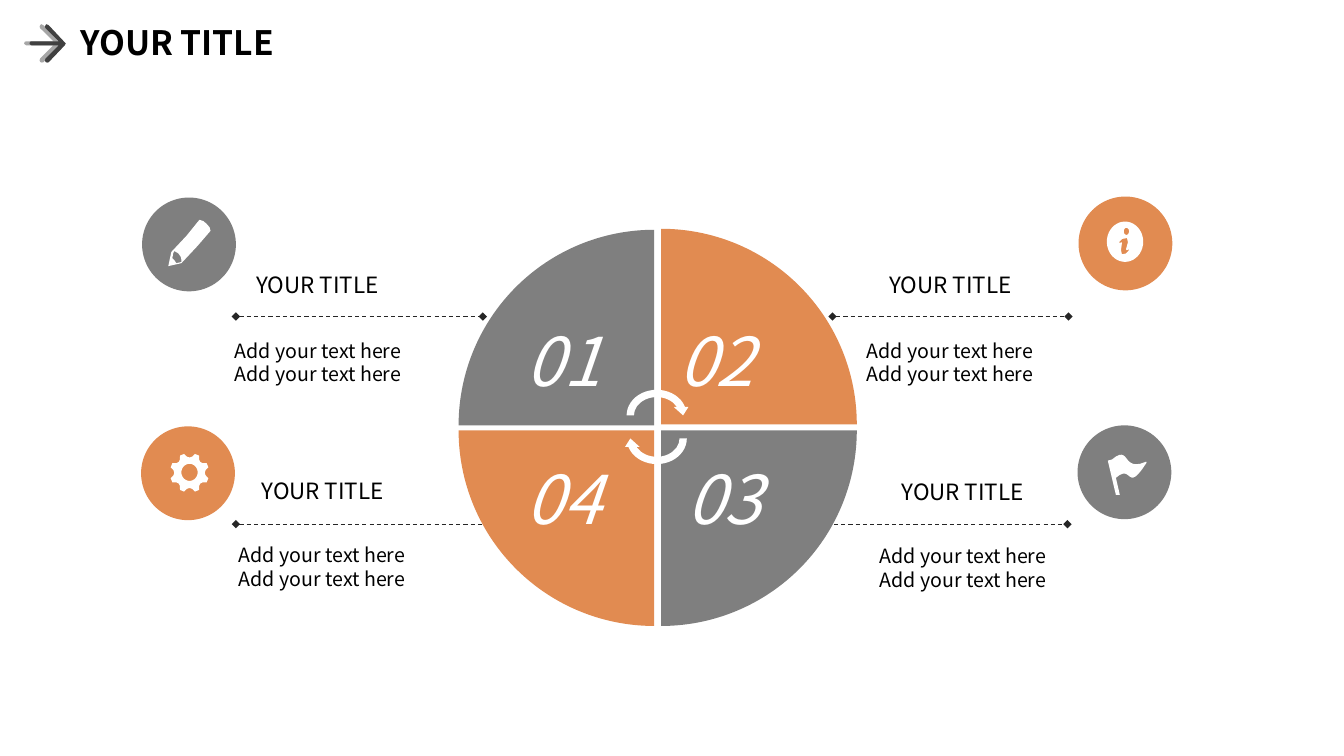
import math
import pptx
import pptx.dml.color
import pptx.enum.dml
import pptx.enum.shapes
import pptx.enum.text
import pptx.oxml
import pptx.oxml.ns
import pptx.util

Pt = pptx.util.Pt
SHAPES = pptx.enum.shapes.MSO_SHAPE
CENTER = pptx.enum.text.PP_ALIGN.CENTER
COLORS = {"gray": "7F7F7F", "orange": "E18B51", "white": "FFFFFF", "black": "000000",
          "line": "262626", "arrow": "404040", "arrow_shade": "A6A6A6"}
FONT = "Noto Sans CJK SC"
HEADING = "YOUR TITLE"
BODY = ["Add your text here", "Add your text here"]

SECTIONS = [
    {"number": "01", "color": "gray", "number_at": (368.64, 224.64), "wedge_at": (327.6, 164.16),
     "turn": 0, "badge_at": (101.5, 141.1), "line": (168.5, 344.9, 226.1),
     "heading_at": (159.84, 190.1), "body_at": (134.64, 238.3)},
    {"number": "02", "color": "orange", "number_at": (477.36, 224.64), "wedge_at": (472.3, 163.44),
     "turn": 90, "badge_at": (770.4, 140.4), "line": (594.7, 763.2, 226.1),
     "heading_at": (612, 190.1), "body_at": (586.1, 238.3)},
    {"number": "03", "color": "gray", "number_at": (483.1, 323.3), "wedge_at": (472.3, 307.4),
     "turn": 180, "badge_at": (769.7, 303.84), "line": (567.4, 762.5, 374.4),
     "heading_at": (620.64, 337.7), "body_at": (595.44, 385.2)},
    {"number": "04", "color": "orange", "number_at": (368.64, 323.3), "wedge_at": (327.6, 307.4),
     "turn": 270, "badge_at": (100.8, 304.56), "line": (168.5, 371.5, 374.4),
     "heading_at": (163.44, 337), "body_at": (137.5, 384.5)},
]
WEDGE, BADGE = 139.7, 67
CYCLE_ARROWS = [(275.8, 0), (292.3, 180)]
TITLE_ARROWS = [((17.3, 17.3), "arrow_shade"), ((21.1, 17.3), "arrow")]


def ellipse(x, y, radius_x, radius_y):
    angles = [math.radians(step * 9) for step in range(40)]
    return [(x + radius_x * math.cos(a), y + radius_y * math.sin(a)) for a in angles]


def curve(*controls):
    points = []
    for step in range(13):
        t = step / 12
        factors = [w * (1 - t) ** (3 - i) * t ** i for i, w in enumerate((1, 3, 3, 1))]
        points.append(tuple(sum(f * c[axis] for f, c in zip(factors, controls))
                            for axis in (0, 1)))
    return points


def gear(x, y):
    profile = [(-9, 11.6), (0, 10.9), (9, 11.6), (16, 14), (29, 14)]
    return [(x + radius * math.cos(math.radians(45 * tooth + angle)),
             y + radius * math.sin(math.radians(45 * tooth + angle)))
            for tooth in range(8) for angle, radius in profile]


ARROW = [[(12.2, 0), (13.7, 0.7), (25.2, 13), (25.9, 13.7), (25.2, 15.1), (13.7, 27.2),
          (12.6, 27.4), (11.5, 27), (11, 25.8), (11.5, 24.5), (20.9, 15.1), (1.4, 15.1),
          (0.4, 14.4), (0, 13.7), (0.4, 12.6), (1.4, 12.2), (20.9, 12.2), (11.5, 2.9),
          (11, 1.8), (11.5, 0.7)]]
PENCIL = [[(27.4, 2.9), (25, 0.9), (22.3, 0), (13, 11.5), (2.2, 23), (0, 33.1), (9.4, 31),
           (20.9, 18.7), (30.2, 7.9), (29.5, 5.3)],
          [(9.4, 30.2), (5.8, 31), (4.3, 28.8), (2.9, 27.4), (3.6, 23.8), (4.3, 22.3),
           (7.2, 24), (9, 26.5), (9.4, 28.8)]]
INFO = [ellipse(13, 14.8, 13, 14.4), ellipse(14, 7.4, 1.9, 2.5),
        [(10.8, 23.8), (10.1, 20.9), (10.8, 15.8), (10.4, 15.1), (9.4, 15.8), (8.6, 15.1),
         (11, 12.8), (14.4, 12.2), (15.1, 15.1), (13.7, 20.2), (14.2, 20.9), (15.8, 20.2),
         (15.8, 20.9), (13.7, 23.2)]]
GEAR = [gear(13.5, 14.4), ellipse(13.5, 14.1, 5.8, 6.1)]
FLAG = [curve((27.4, 13), (9.4, 20.9), (16.6, 0), (2.9, 11.5))
        + [(0, 12.2), (5.8, 36.7), (8.6, 36.7)]
        + curve((5.8, 24.5), (18, 13.7), (13, 36.7), (27.7, 13.7))]
ICONS = [(PENCIL, (120.2, 157)), (INFO, (790.6, 157.9)),
         (FLAG, (791.3, 316.8)), (GEAR, (121.9, 323.3))]

presentation = pptx.Presentation()
presentation.slide_width, presentation.slide_height = Pt(960), Pt(540)
slide = presentation.slides.add_slide(presentation.slide_layouts[6])


def rgb(name):
    return pptx.dml.color.RGBColor.from_string(COLORS[name])


def paint(shape, color):
    shape.shadow.inherit = False
    shape.fill.solid()
    shape.fill.fore_color.rgb = rgb(color)
    shape.line.fill.background()


def add_preset(kind, left, top, width, height, color, turn=0):
    shape = slide.shapes.add_shape(kind, Pt(left), Pt(top), Pt(width), Pt(height))
    shape.rotation = turn
    paint(shape, color)


def add_outline(contours, origin, color):
    placed = [[(Pt(origin[0] + x), Pt(origin[1] + y)) for x, y in contour]
              for contour in contours]
    builder = slide.shapes.build_freeform(*placed[0][0])
    for index, contour in enumerate(placed):
        if index:
            builder.move_to(*contour[0])
        builder.add_line_segments(contour[1:], close=True)
    paint(builder.convert_to_shape(), color)


def add_text(lines, position, extent, points, color="black", align=None, grow=True, **formats):
    box = slide.shapes.add_textbox(*[Pt(length) for length in position + extent])
    frame = box.text_frame
    frame.word_wrap = True
    if grow:
        frame.auto_size = pptx.enum.text.MSO_AUTO_SIZE.SHAPE_TO_FIT_TEXT
    for index, line in enumerate(lines):
        paragraph = frame.paragraphs[0] if index == 0 else frame.add_paragraph()
        paragraph.alignment = align
        run = paragraph.add_run()
        run.text = line
        for name, value in {"name": FONT, "size": Pt(points), **formats}.items():
            setattr(run.font, name, value)
        run.font.color.rgb = rgb(color)


def add_dashed_line(start, end, y):
    connector = slide.shapes.add_connector(
        pptx.enum.shapes.MSO_CONNECTOR.STRAIGHT, Pt(start), Pt(y), Pt(end), Pt(y))
    connector.line.color.rgb = rgb("line")
    connector.line.width = Pt(0.75)
    connector.line.dash_style = pptx.enum.dml.MSO_LINE.DASH
    namespace = pptx.oxml.ns.nsdecls("a")
    outline = connector._element.spPr.find(pptx.oxml.ns.qn("a:ln"))
    for tag in ("headEnd", "tailEnd"):
        outline.append(pptx.oxml.parse_xml(f'<a:{tag} {namespace} type="diamond"/>'))
    connector._element.spPr.append(pptx.oxml.parse_xml(f"<a:effectLst {namespace}/>"))


add_text([HEADING], (50.4, 12.24), (216, 36), 24, bold=True)
for origin, color in TITLE_ARROWS:
    add_outline(ARROW, origin, color)
for section in SECTIONS:
    add_dashed_line(*section["line"])
    add_preset(SHAPES.OVAL, *section["badge_at"], BADGE, BADGE, section["color"])
    add_preset(SHAPES.PIE_WEDGE, *section["wedge_at"], WEDGE, WEDGE,
               section["color"], section["turn"])
for top, turn in CYCLE_ARROWS:
    add_preset(SHAPES.CIRCULAR_ARROW, 445, top, 48.2, 41.8, "white", turn)
for contours, origin in ICONS:
    add_outline(contours, origin, "white")
for section in SECTIONS:
    add_text([HEADING], section["heading_at"], (133.9, 26.6), 16, align=CENTER)
    add_text(BODY, section["body_at"], (185, 38.2), 14, align=CENTER, grow=False)
    add_text([section["number"]], section["number_at"], (93.6, 65.5), 48,
             color="white", italic=True)

presentation.save("out.pptx")
